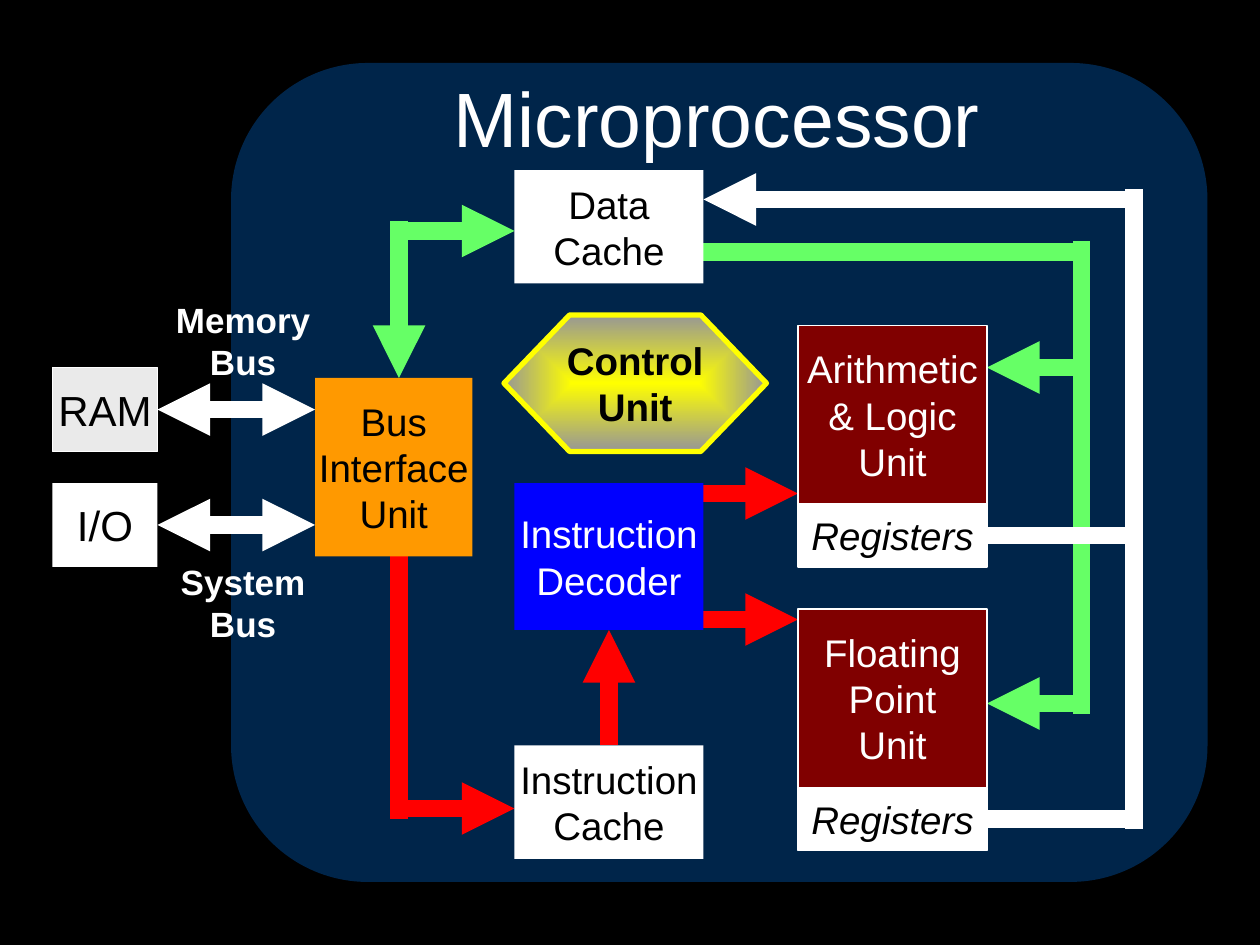
from lxml import etree
from pptx import Presentation
from pptx.dml.color import RGBColor
from pptx.enum.shapes import MSO_CONNECTOR, MSO_SHAPE
from pptx.enum.text import MSO_ANCHOR, MSO_AUTO_SIZE, PP_ALIGN
from pptx.oxml.ns import qn
from pptx.util import Inches, Pt

STRAIGHT = MSO_CONNECTOR.STRAIGHT
RECTANGLE = MSO_SHAPE.RECTANGLE
ROUNDED = MSO_SHAPE.ROUNDED_RECTANGLE
HEXAGON = MSO_SHAPE.HEXAGON
MIDDLE, BOTTOM, TOP = MSO_ANCHOR.MIDDLE, MSO_ANCHOR.BOTTOM, MSO_ANCHOR.TOP
CENTER, LEFT = PP_ALIGN.CENTER, PP_ALIGN.LEFT
FIXED, GROW = MSO_AUTO_SIZE.NONE, MSO_AUTO_SIZE.SHAPE_TO_FIT_TEXT

BLACK, WHITE, GREEN, RED = "000000", "FFFFFF", "66FF66", "FF0000"
MAROON, YELLOW = "800000", "FFFF00"
CELL = Inches(1 / 12)  # the slide is a grid of 120 columns by 90 rows


def color(hex_string):
    return RGBColor.from_string(hex_string)


def write(shape, text, size, ink, bold=False, italic=False, align=CENTER, anchor=MIDDLE):
    frame = shape.text_frame
    frame.word_wrap = False
    frame.vertical_anchor = anchor
    frame.text = text
    for para in frame.paragraphs:
        para.alignment = align
        for span in para.runs:
            span.font.name = "Arial"
            span.font.size = Pt(size)
            span.font.bold = bold
            span.font.italic = italic
            span.font.color.rgb = color(ink)


deck = Presentation()
deck.slide_width, deck.slide_height = 120 * CELL, 90 * CELL
page = deck.slides.add_slide(deck.slide_layouts[6])
page.background.fill.solid()
page.background.fill.fore_color.rgb = color(BLACK)

# Chip body
chip = page.shapes.add_shape(ROUNDED, 22 * CELL, 6 * CELL, 93 * CELL, 78 * CELL)
chip.shadow.inherit = False
chip.adjustments[0] = 0.167
chip.fill.solid()
chip.fill.fore_color.rgb = color("00254A")
chip.line.fill.background()

# Buses: start column and row, end column and row, colour, arrowheads
buses = [
    # Data from the bus interface to the data cache and the units
    (38, 21, 38, 36, GREEN, ["tailEnd"]),
    (38, 22, 49, 22, GREEN, ["tailEnd"]),
    (67, 24, 103, 24, GREEN, []),
    (103, 23, 103, 68, GREEN, []),
    (94, 35, 103, 35, GREEN, ["headEnd"]),
    (94, 67, 103, 67, GREEN, ["headEnd"]),
    # Instructions through the cache and decoder to the units
    (38, 53, 38, 78, RED, []),
    (38, 77, 49, 77, RED, ["tailEnd"]),
    (58, 60, 58, 71, RED, ["headEnd"]),
    (67, 47, 76, 47, RED, ["tailEnd"]),
    (67, 59, 76, 59, RED, ["tailEnd"]),
    # Results from the registers back to the data cache
    (108, 51, 94, 51, WHITE, []),
    (108, 78, 94, 78, WHITE, []),
    (108, 18, 108, 79, WHITE, []),
    (67, 19, 108, 19, WHITE, ["headEnd"]),
    # Memory bus and system bus
    (15, 39, 30, 39, WHITE, ["headEnd", "tailEnd"]),
    (15, 50, 30, 50, WHITE, ["headEnd", "tailEnd"]),
]
for x1, y1, x2, y2, stroke, heads in buses:
    bus = page.shapes.add_connector(STRAIGHT, x1 * CELL, y1 * CELL, x2 * CELL, y2 * CELL)
    bus.line.color.rgb = color(stroke)
    bus.line.width = Pt(10)
    outline = bus.line._get_or_add_ln()
    for head in heads:
        etree.SubElement(outline, qn("a:" + head), type="triangle")
    etree.SubElement(bus._element.spPr, qn("a:effectLst"))

# Blocks: column, row, width, height, fill, outline, text, size, ink, italic
blocks = [
    (5, 35, 10, 8, "EAEAEA", WHITE, "RAM", 24, BLACK, False),
    (5, 46, 10, 8, WHITE, None, "I/O", 24, BLACK, False),
    (30, 36, 15, 17, "FF9900", None, "Bus\nInterface\nUnit", 22, BLACK, False),
    (49, 16.2, 18, 10.8, WHITE, None, "Data\nCache", 22, BLACK, False),
    (49, 46, 18, 14, "0000FF", None, "Instruction\nDecoder", 22, WHITE, False),
    (49, 71, 18, 10.8, WHITE, None, "Instruction\nCache", 22, BLACK, False),
]
for row, unit in [(31, "Arithmetic\n& Logic\nUnit"), (58, "Floating\nPoint\nUnit")]:
    blocks += [
        (76, row + 17, 18, 6, WHITE, WHITE, "Registers", 22, BLACK, True),
        (76, row, 18, 17, MAROON, WHITE, unit, 22, WHITE, False),
    ]
for x, y, width, height, fill, edge, text, size, ink, italic in blocks:
    block = page.shapes.add_shape(RECTANGLE, int(x * CELL), int(y * CELL),
                                  int(width * CELL), int(height * CELL))
    block.shadow.inherit = False
    block.fill.solid()
    block.fill.fore_color.rgb = color(fill)
    if edge:
        block.line.color.rgb = color(edge)
        block.line.width = Pt(0.75)
    else:
        block.line.fill.background()
    write(block, text, size, ink, italic=italic)

# Control unit, with a gradient spreading from its centre
control = page.shapes.add_shape(HEXAGON, 48 * CELL, 30 * CELL, 25 * CELL, 13 * CELL)
control.shadow.inherit = False
control.adjustments[0] = 0.481
control.adjustments[1] = 1.155
control.fill.gradient()
for stop, shade, position in zip(control.fill.gradient_stops, (YELLOW, "969696"), (0, 1)):
    stop.color.rgb = color(shade)
    stop.position = position
gradient = control._element.spPr.find(qn("a:gradFill"))
gradient.remove(gradient.find(qn("a:lin")))
spread = etree.SubElement(gradient, qn("a:path"), {"path": "rect"})
etree.SubElement(spread, qn("a:fillToRect"), dict.fromkeys("ltrb", "50000"))
control.line.color.rgb = color(YELLOW)
control.line.width = Pt(3)
write(control, "Control\nUnit", 22, BLACK, bold=True)

# Title and bus names
labels = [
    (42, 6, 54, 10.1, "Microprocessor", 44, False, LEFT, BOTTOM, FIXED),
    (15.4, 27.8, 15.5, 9.2, "Memory\nBus", 20, True, CENTER, TOP, GROW),
    (15.4, 52.8, 15.5, 9.2, "System\nBus", 20, True, CENTER, TOP, GROW),
]
for x, y, width, height, text, size, bold, align, anchor, fit in labels:
    label = page.shapes.add_textbox(int(x * CELL), int(y * CELL),
                                    int(width * CELL), int(height * CELL))
    write(label, text, size, WHITE, bold=bold, align=align, anchor=anchor)
    label.text_frame.auto_size = fit

deck.save("out.pptx")
